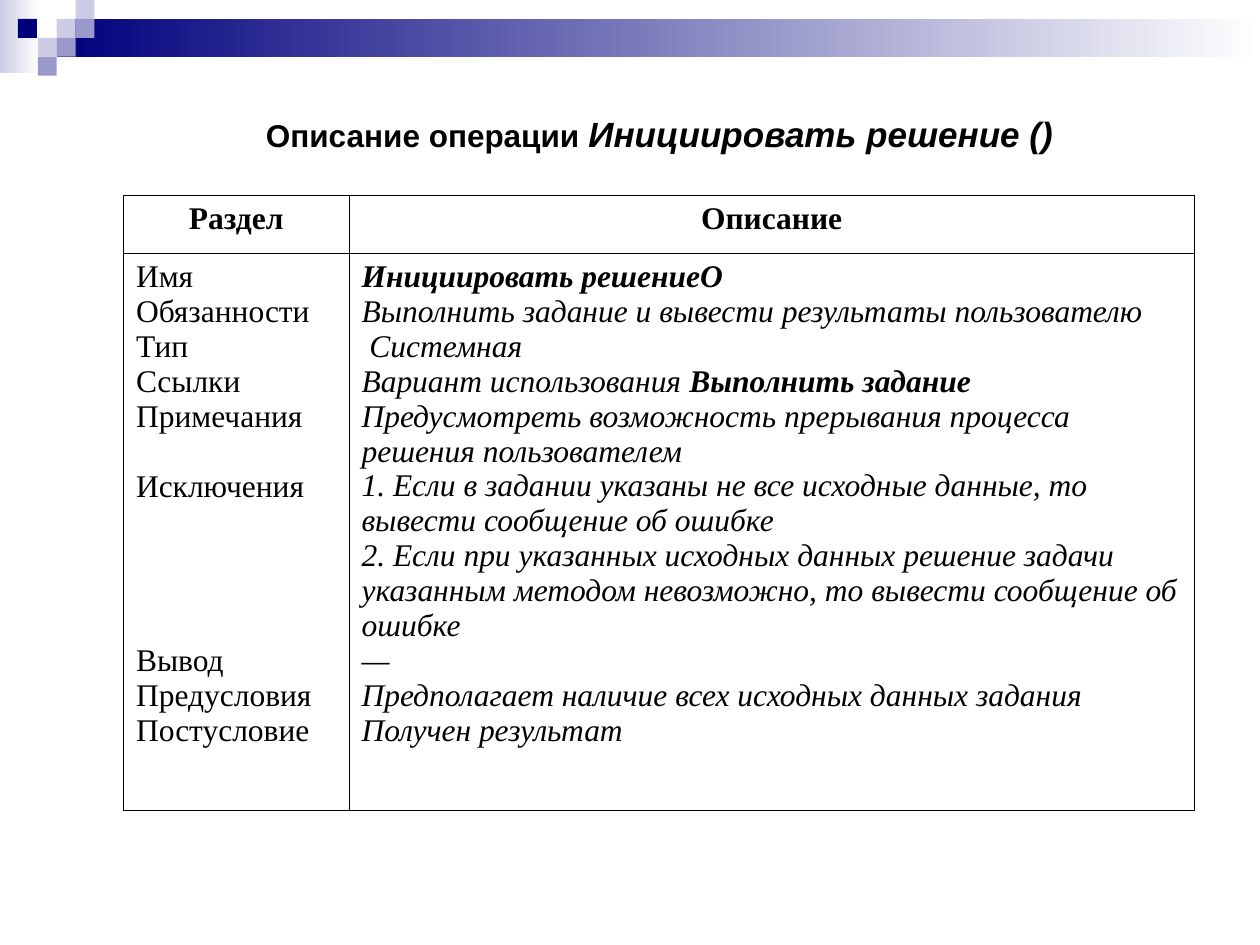
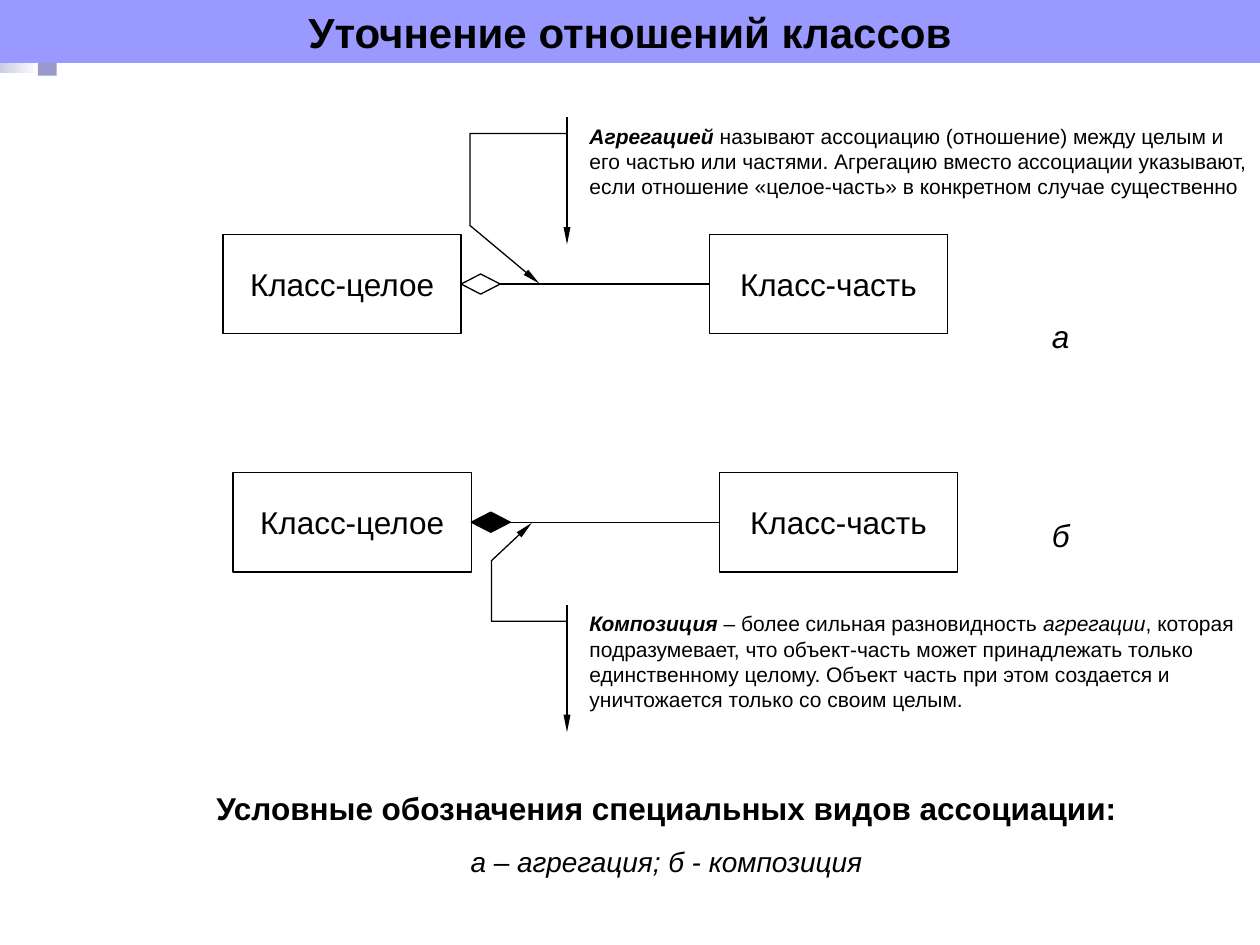
from dataclasses import dataclass

import pptx
import pptx.dml.color
import pptx.enum.shapes
import pptx.enum.text
import pptx.oxml
import pptx.oxml.ns
import pptx.util
from lxml import etree

Inches = pptx.util.Inches
Pt = pptx.util.Pt
RGBColor = pptx.dml.color.RGBColor
SHAPE = pptx.enum.shapes.MSO_SHAPE
ALIGN = pptx.enum.text.PP_ALIGN
ANCHOR = pptx.enum.text.MSO_ANCHOR
qn = pptx.oxml.ns.qn

BLACK = RGBColor(0x00, 0x00, 0x00)
WHITE = RGBColor(0xFF, 0xFF, 0xFF)
NAVY = RGBColor(0x00, 0x00, 0x7D)
LILAC = RGBColor(0x99, 0x99, 0xCC)
PALE = RGBColor(0xCC, 0xCC, 0xE6)
TITLE_BAND = RGBColor(0x99, 0x99, 0xFF)

SANS, SERIF = "Arial", "Times New Roman"
LINE_WIDTH = 0.74
BORDER_WIDTH = 0.45
TABLE_LINE = 20  # height of one table text line, points


@dataclass
class Run:
    """A piece of text with its own emphasis."""
    text: str
    bold: bool = False
    italic: bool = False
    size: float | None = None


@dataclass
class Para:
    """A paragraph of runs with the gap above it in points."""
    runs: list[Run]
    gap: float = 0


@dataclass
class Association:
    """A whole-part diagram with its letter and callout."""
    left: float
    top: float
    filled: bool
    letter: str
    letter_top: float
    note_top: float
    leader: list[tuple[float, float]]
    note: list[Run]


def add_run(p, text: str, *, font: str = SANS, size: float = 18,
            bold: bool = False, italic: bool = False) -> None:
    """Append formatted black text to a paragraph."""
    r = p.add_run()
    r.text = text
    r.font.name, r.font.size = font, Pt(size)
    r.font.bold, r.font.italic = bold, italic
    r.font.color.rgb = BLACK


def write(tf, paras: list[Para], *, font: str = SANS, size: float = 18,
          align=ALIGN.LEFT) -> None:
    """Fill a text frame with paragraphs."""
    for i, para in enumerate(paras):
        p = tf.paragraphs[0] if i == 0 else tf.add_paragraph()
        p.alignment = align
        p.space_before = Pt(para.gap)
        for run in para.runs:
            add_run(p, run.text, font=font, size=run.size or size,
                    bold=run.bold, italic=run.italic)


def set_line(sp, arrow: bool = False) -> None:
    """Give a shape or connector a thin black line."""
    sp.line.color.rgb = BLACK
    sp.line.width = Pt(LINE_WIDTH)
    if arrow:
        ln = sp.element.spPr.find(qn("a:ln"))
        etree.SubElement(ln, qn("a:tailEnd"), type="triangle", w="sm", len="lg")


def add_block(s, kind, box: tuple, fill: RGBColor | None = None,
              outlined: bool = False, arrow: bool = False):
    """Add a flat preset shape."""
    sp = s.shapes.add_shape(kind, *map(Inches, box))
    sp.shadow.inherit = False
    if fill is None:
        sp.fill.background()
    else:
        sp.fill.solid()
        sp.fill.fore_color.rgb = fill
    if outlined:
        set_line(sp, arrow)
    else:
        sp.line.fill.background()
    return sp


def add_line(s, start: tuple, end: tuple) -> None:
    """Add a straight connector without a shadow."""
    kind = pptx.enum.shapes.MSO_CONNECTOR.STRAIGHT
    sp = s.shapes.add_connector(kind, *map(Inches, (*start, *end)))
    set_line(sp)
    etree.SubElement(sp.element.spPr, qn("a:effectLst"))


def add_callout(s, box: tuple, leader: list[tuple[float, float]],
                runs: list[Run]) -> None:
    """Add a note with an accent bar and a leader through the given points."""
    left, top, width, height = box
    sp = add_block(s, SHAPE.LINE_CALLOUT_3_ACCENT_BAR, box, outlined=True, arrow=True)
    for i, (x, y) in enumerate(leader):
        sp.adjustments[2 * i] = (y - top) / height
        sp.adjustments[2 * i + 1] = (x - left) / width
    sp.text_frame.word_wrap = True
    sp.text_frame.vertical_anchor = ANCHOR.TOP
    write(sp.text_frame, [Para(runs)], size=12)


def decorate(s, master, layout) -> None:
    """Draw the corner ornament and move it to the master and one layout."""
    def move(sp, target) -> None:
        """Move a shape to the master or layout under an unused id."""
        count = len(target.shapes)
        sp.element.xpath(".//p:cNvPr")[0].set("id", str(100 + count))
        target.shapes.element.append(sp.element)

    for box, color in [((0, 0, 0.31, 0.58), PALE), ((0.45, 0.15, 9.55, 0.3), NAVY)]:
        sp = add_block(s, SHAPE.RECTANGLE, box)
        sp.fill.gradient()
        sp.fill.gradient_angle = 0
        for stop, stop_color in zip(sp.fill.gradient_stops, (color, WHITE)):
            stop.color.rgb = stop_color
        move(sp, master)
    side = 0.15
    for col, row, color, target in [
            (4, 0, PALE, master), (2, 3, LILAC, master),
            (3, 1, PALE, layout), (4, 1, LILAC, layout), (2, 2, PALE, layout),
            (0.95, 1, NAVY, layout), (3, 2, LILAC, layout)]:
        box = (col * side, row * side, side, side)
        move(add_block(s, SHAPE.RECTANGLE, box, color), target)


def fill_placeholder(sp, box: tuple, paras: list[Para], anchor=ANCHOR.MIDDLE) -> None:
    """Move a placeholder and write centred text in it."""
    sp.left, sp.top, sp.width, sp.height = map(Inches, box)
    tf = sp.text_frame
    tf.auto_size = pptx.enum.text.MSO_AUTO_SIZE.NONE
    tf.word_wrap = True
    tf.vertical_anchor = anchor
    write(tf, paras, align=ALIGN.CENTER)


def add_grid(s, left: float, top: float, widths: list[float], heights: list[float],
             rows: list[list[list[Para]]]) -> None:
    """Add a white table with thin black borders and a centred header."""
    gf = s.shapes.add_table(len(heights), len(widths), Inches(left), Inches(top),
                            Inches(sum(widths)), Inches(sum(heights)))
    tbl = gf.table
    tbl.first_row = tbl.horz_banding = False
    for col, width in zip(tbl.columns, widths):
        col.width = Inches(width)
    for r, height in enumerate(heights):
        tbl.rows[r].height = Inches(height)
        for c, paras in enumerate(rows[r]):
            cell = tbl.cell(r, c)
            cell.fill.solid()
            cell.fill.fore_color.rgb = WHITE
            write(cell.text_frame, paras, font=SERIF,
                  align=ALIGN.LEFT if r else ALIGN.CENTER)
    for tc_pr in gf.element.iter(qn("a:tcPr")):
        for i, side in enumerate(("lnL", "lnR", "lnT", "lnB")):
            ln = etree.Element(qn(f"a:{side}"), w=str(int(Pt(BORDER_WIDTH))))
            fill = etree.SubElement(ln, qn("a:solidFill"))
            etree.SubElement(fill, qn("a:srgbClr"), val=str(BLACK))
            tc_pr.insert(i, ln)


def add_association(s, a: Association) -> None:
    """Draw two classes, their diamond link, the letter and the callout."""
    width, height, distance = 1.89, 0.79, 3.86
    diamond_w, diamond_h = 0.31, 0.16
    for x, name in [(a.left, "Класс-целое"), (a.left + distance, "Класс-часть")]:
        sp = add_block(s, SHAPE.RECTANGLE, (x, a.top, width, height), outlined=True)
        sp.text_frame.word_wrap = False
        sp.text_frame.vertical_anchor = ANCHOR.MIDDLE
        write(sp.text_frame, [Para([Run(name)])], align=ALIGN.CENTER)
    x, y = a.left + width, a.top + height / 2
    add_block(s, SHAPE.DIAMOND, (x, y - diamond_h / 2, diamond_w, diamond_h),
              BLACK if a.filled else None, outlined=True)
    add_line(s, (x + diamond_w, y), (a.left + distance, y))
    letter_box = map(Inches, (8.25, a.letter_top, 0.35, 0.4))
    tf = s.shapes.add_textbox(*letter_box).text_frame
    tf.word_wrap = True
    write(tf, [Para([Run(a.letter, italic=True)])])
    add_callout(s, (4.58, a.note_top, 5.42, 1.01), a.leader, a.note)


SECTIONS = [
    Para([Run("Имя")]),
    Para([Run("Обязанности Тип")]),
    Para([Run("Ссылки")]),
    Para([Run("Примечания")]),
    Para([Run("Исключения")], gap=TABLE_LINE),
    Para([Run("Вывод")], gap=4 * TABLE_LINE),
    Para([Run("Предусловия Постусловие")]),
]
DESCRIPTIONS = [
    Para([Run("Инициировать решениеО", bold=True, italic=True)]),
    Para([Run("Выполнить задание и вывести результаты пользователю", italic=True)]),
    Para([Run(" Системная", italic=True)]),
    Para([Run("Вариант использования ", italic=True),
          Run("Выполнить задание", bold=True, italic=True)]),
    *(Para([Run(text, italic=True)]) for text in (
        "Предусмотреть возможность прерывания процесса решения пользователем",
        "1. Если в задании указаны не все исходные данные, то вывести сообщение об ошибке",
        "2. Если при указанных исходных данных решение задачи указанным методом "
        "невозможно, то вывести сообщение об ошибке",
        "—",
        "Предполагает наличие всех исходных данных задания",
        "Получен результат")),
]
ASSOCIATIONS = [
    Association(1.77, 1.86, False, "а", 2.47, 0.93,
                [(4.5, 1.06), (3.73, 1.06), (3.73, 1.79), (4.28, 2.25)],
                [Run("Агрегацией", bold=True, italic=True),
                 Run(" называют ассоциацию (отношение) между целым и его частью или "
                     "частями. Агрегацию вместо ассоциации указывают, если отношение "
                     "«целое-часть» в конкретном случае существенно")]),
    Association(1.85, 3.75, True, "б", 4.05, 4.8,
                [(4.5, 4.93), (3.9, 4.93), (3.9, 4.45), (4.22, 4.15)],
                [Run("Композиция", bold=True, italic=True),
                 Run(" – более сильная разновидность "),
                 Run("агрегации", italic=True),
                 Run(", которая подразумевает, что объект-часть может принадлежать "
                     "только единственному целому. Объект часть при этом создается и "
                     "уничтожается только со своим целым.")]),
]


def build_operation(s) -> None:
    """Fill the slide that describes the operation."""
    fill_placeholder(s.shapes.title, (1.77, 0.84, 6.93, 0.44), [Para([
        Run("Описание операции ", bold=True),
        Run("Инициировать решение ()", bold=True, italic=True, size=20)])])
    header = [[Para([Run(name, bold=True)])] for name in ("Раздел", "Описание")]
    add_grid(s, 0.98, 1.55, [1.79, 6.71], [0.46, 4.42], [header, [SECTIONS, DESCRIPTIONS]])


def build_relations(s) -> None:
    """Fill the slide on aggregation and composition."""
    title = s.shapes.title
    fill_placeholder(title, (0, 0, 10, 0.5), [
        Para([Run("Уточнение отношений классов", bold=True, size=24)])])
    title.fill.solid()
    title.fill.fore_color.rgb = TITLE_BAND
    fill_placeholder(s.placeholders[1], (1.18, 6.21, 8.22, 0.81), [
        Para([Run("Условные обозначения специальных видов ассоциации:", bold=True)]),
        Para([Run("а – агрегация; б - композиция", italic=True, size=16)], gap=10),
    ], ANCHOR.TOP)
    for association in ASSOCIATIONS:
        add_association(s, association)


def main() -> None:
    """Build and save the presentation."""
    prs = pptx.Presentation()
    prs.slide_width, prs.slide_height = Inches(10), Inches(7.5)
    title_only, title_and_subtitle = prs.slide_layouts[5], prs.slide_layouts[0]
    operation = prs.slides.add_slide(title_only)
    decorate(operation, prs.slide_master, title_only)
    build_operation(operation)
    build_relations(prs.slides.add_slide(title_and_subtitle))
    prs.save("out.pptx")


main()
